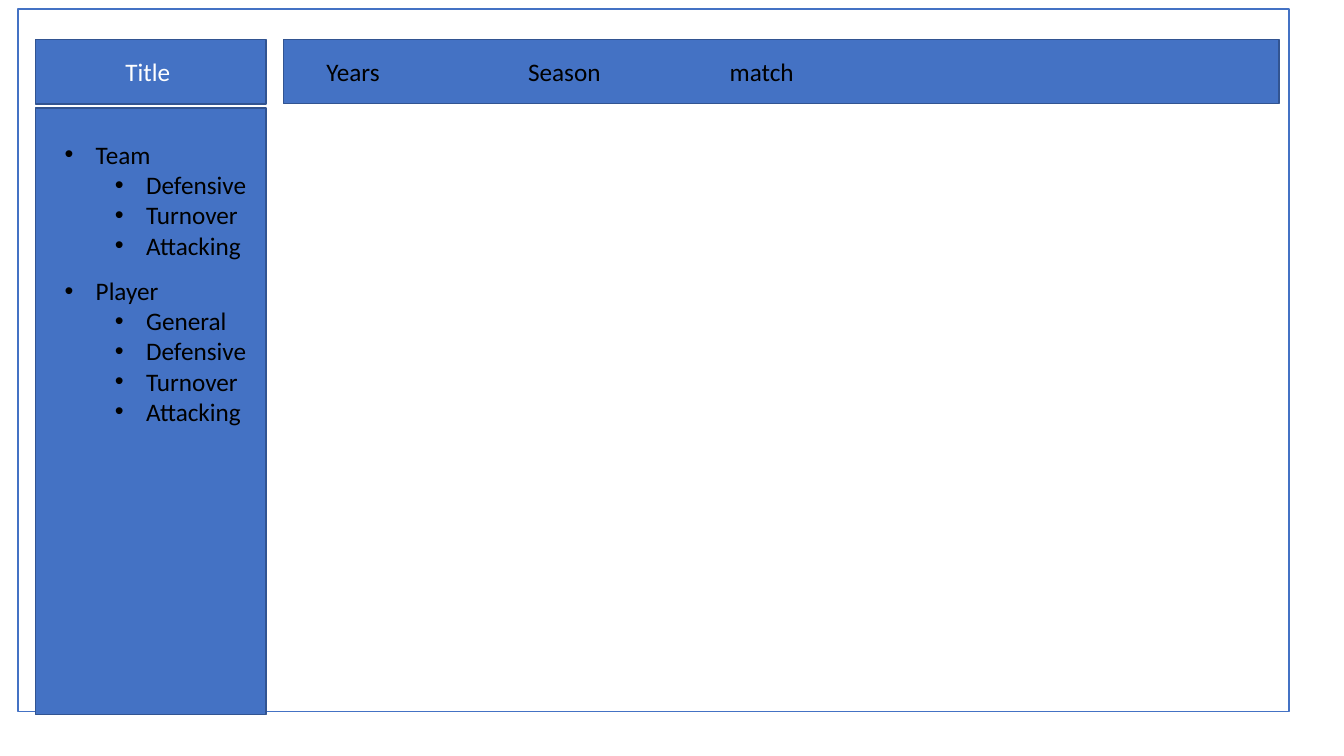
from lxml import etree
from pptx import Presentation
from pptx import util as u
from pptx.dml import color
from pptx.enum import shapes, text
from pptx.oxml import ns

COLS, ROWS = 160, 90
BLUE, EDGE, WHITE, BLACK = "4472C4", "325491", "FFFFFF", "000000"
TEAM = ["Team", "Defensive", "Turnover", "Attacking"]
PLAYER = ["Player", "General", "Defensive", "Turnover", "Attacking"]
FILTERS = ["Years", "Season", "match"]

deck = Presentation()
deck.slide_width, deck.slide_height = u.Inches(13.33), u.Inches(7.5)
cell_w, cell_h = deck.slide_width / COLS, deck.slide_height / ROWS
slide = deck.slides.add_slide(deck.slide_layouts[3])
heading, team, player = slide.placeholders


def rgb(value):
    return color.RGBColor.from_string(value)


def to_emu(box):
    return [int(n * size) for n, size in zip(box, (cell_w, cell_h) * 2)]


def paint(part, fill, line):
    part.fill.solid()
    part.fill.fore_color.rgb = rgb(fill)
    part.line.color.rgb = rgb(line)
    part.line.width = u.Pt(1)


def panel(box, fill=BLUE, line=EDGE):
    part = slide.shapes.add_shape(shapes.MSO_SHAPE.RECTANGLE, *to_emu(box))
    part.shadow.inherit = False
    paint(part, fill, line)


def place(part, box):
    part.left, part.top, part.width, part.height = to_emu(box)
    part.element.getparent().append(part.element)


def write(part, words, ink, anchor=text.MSO_ANCHOR.TOP):
    frame = part.text_frame
    frame.text = words
    frame.word_wrap = True
    frame.auto_size = text.MSO_AUTO_SIZE.NONE
    frame.vertical_anchor = anchor
    for line in frame.paragraphs:
        line.space_before = u.Pt(0)
        for run in line.runs:
            run.font.name, run.font.size = "Calibri", u.Pt(18)
            run.font.color.rgb = rgb(ink)
    return frame.paragraphs


def bullet(line, level):
    line.level = level
    props = line._p.get_or_add_pPr()
    props.set("marL", str(u.Inches(0.31 + 0.5 * level)))
    props.set("indent", str(u.Inches(-0.31)))
    etree.SubElement(props, ns.qn("a:buFont")).set("typeface", "Arial")
    etree.SubElement(props, ns.qn("a:buChar")).set("char", "•")


def menu(part, entries, left, top):
    height = 3.63 * len(entries) + 1.2
    place(part, (left, top, 35.88, height))
    for row, line in enumerate(write(part, "\n".join(entries), BLACK)):
        bullet(line, min(row, 1))
    return top + height + 0.48


def sidebar(left, top, width, height):
    place(heading, (left, top, width, 7.68))
    paint(heading, BLUE, EDGE)
    title, = write(heading, "Title ", WHITE, text.MSO_ANCHOR.MIDDLE)
    title.alignment = text.PP_ALIGN.CENTER
    panel((left, top + 8.16, width, height - 8.16))
    next_top = menu(team, TEAM, left + 2.28, top + 11.28)
    menu(player, PLAYER, left + 2.28, next_top)


def filter_bar(left, top, width, height):
    panel((left, top, width, height))
    labels = slide.shapes.add_textbox(
        *to_emu((left + 3.96, top + 1.44, 76.44, 4.8)))
    line, = write(labels, "\t".join(FILTERS), BLACK)
    stops = etree.SubElement(line._p.get_or_add_pPr(), ns.qn("a:tabLst"))
    for step in range(1, len(FILTERS)):
        stop = etree.SubElement(stops, ns.qn("a:tab"))
        stop.set("pos", str(u.Inches(2 * step)))
        stop.set("algn", "l")


panel((2.16, 1.08, 151.32, 83.64), WHITE, BLUE)
sidebar(4.2, 4.68, 27.48, 80.4)
filter_bar(33.72, 4.68, 118.56, 7.68)
deck.save("out.pptx")
